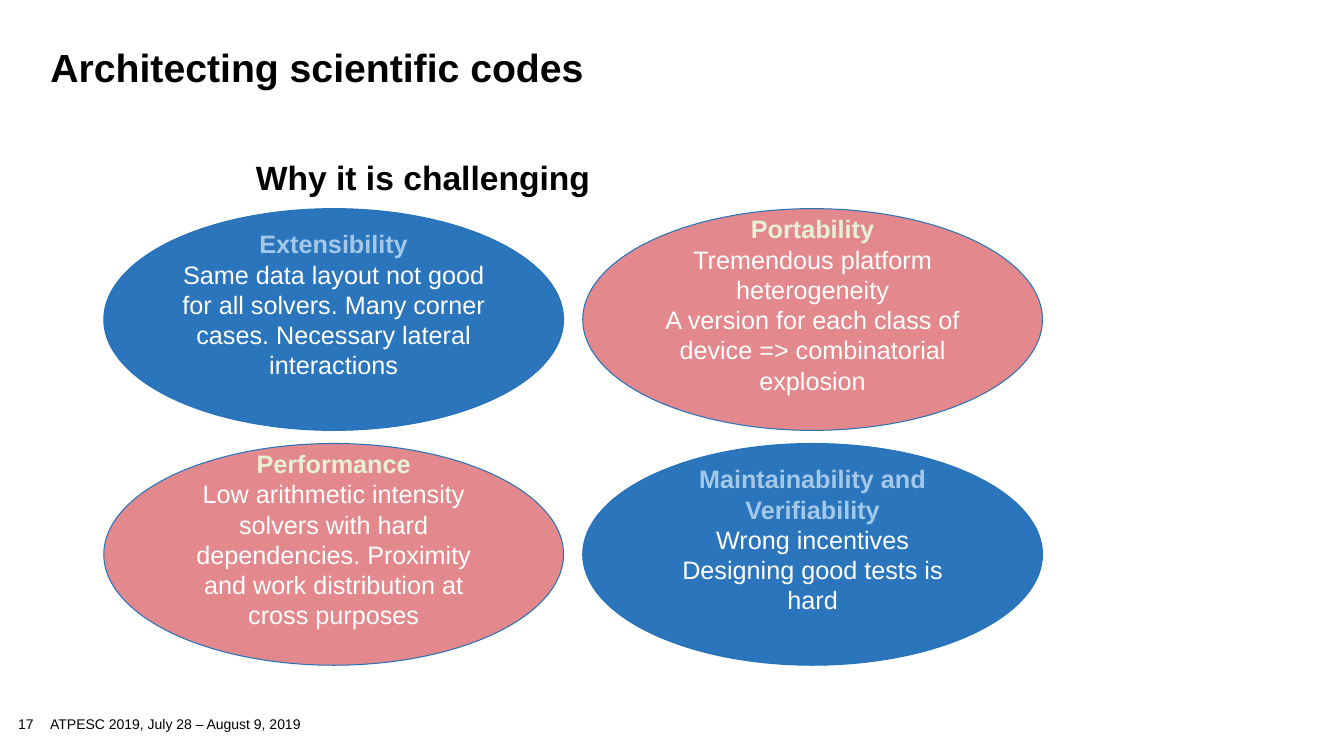
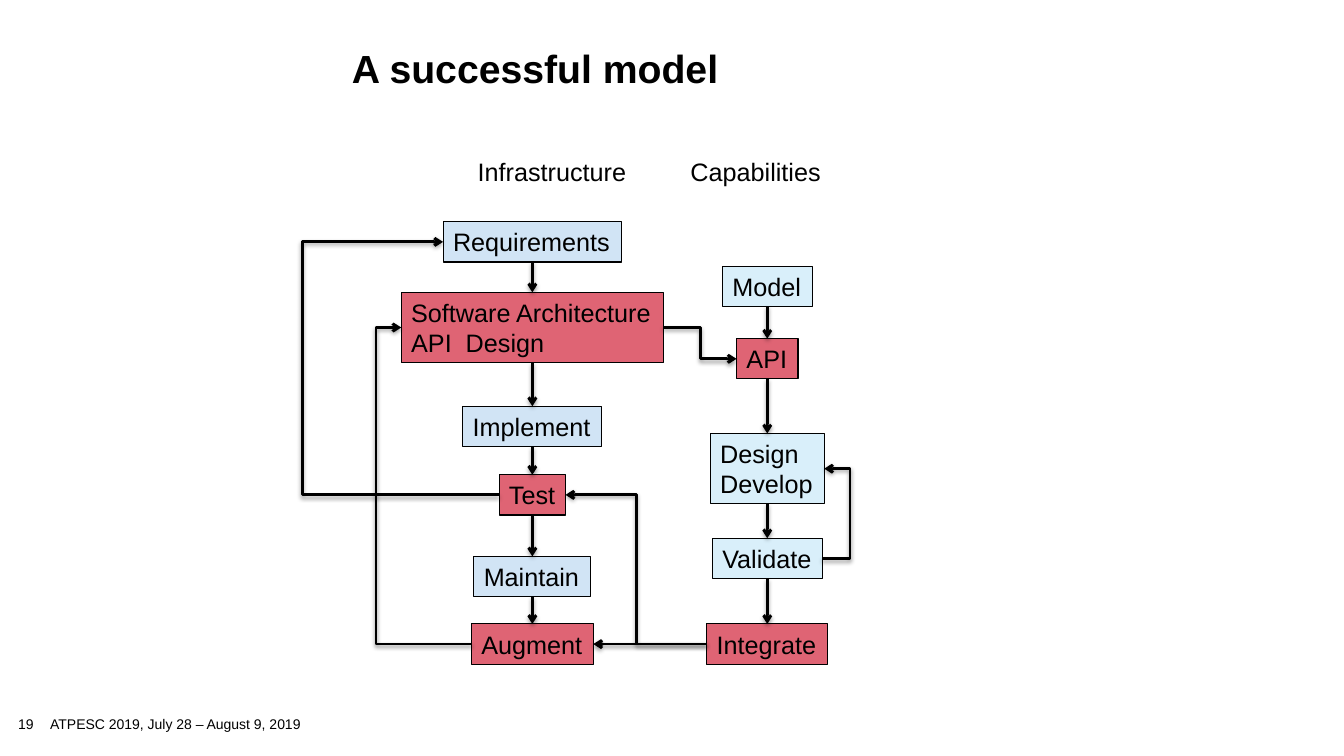
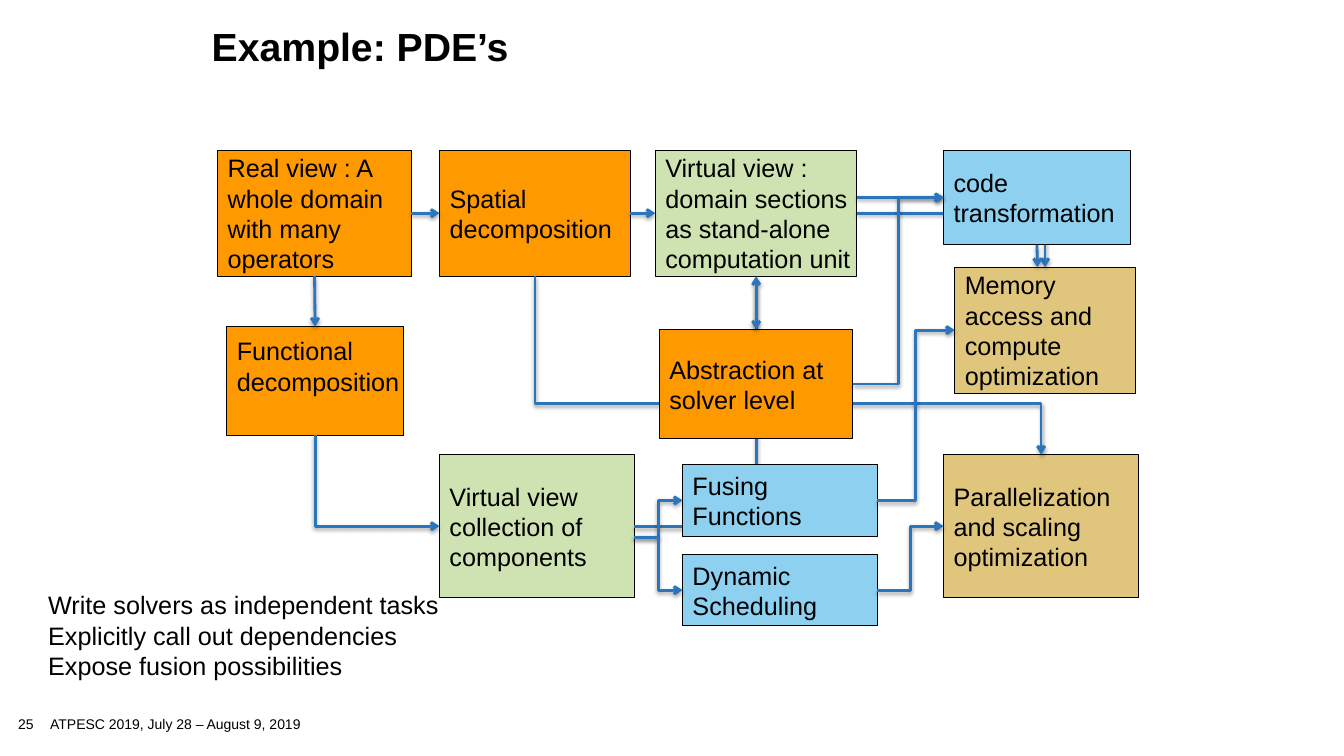
from dataclasses import dataclass

from lxml.etree import SubElement
from pptx import Presentation
from pptx.dml.color import RGBColor
from pptx.enum.shapes import MSO_CONNECTOR, MSO_SHAPE
from pptx.enum.text import MSO_ANCHOR, PP_ALIGN
from pptx.oxml.ns import qn
from pptx.util import Inches, Pt

TOP, LEFT, BOTTOM, RIGHT = range(4)
LINE = 0.3  # height of one line of body text, in grid cells


@dataclass(frozen=True)
class Theme:
    font: str = "Arial"
    title: int = 28
    head: int = 24
    body: int = 18
    small: int = 10
    black: str = "000000"
    white: str = "FFFFFF"
    blue: str = "2A75BB"
    edge: str = "2673BA"
    rose: str = "E3888C"
    sky: str = "A3C8EA"
    lime: str = "E7F1D8"
    pale: str = "D1E4F5"
    ice: str = "D9EFFA"
    red: str = "DF6474"
    orange: str = "FF9900"
    green: str = "CEE3B1"
    sand: str = "E0C67D"
    cyan: str = "8ED0EF"


T = Theme()


class Deck:
    """Slides on a grid of one-inch cells, 13.33 columns by 7.5 rows."""

    def __init__(self):
        self.prs = Presentation()
        self.prs.slide_width = Inches(13.33)
        self.prs.slide_height = Inches(7.5)
        self.slide = None

    def start(self, title, box, number):
        self.slide = self.prs.slides.add_slide(self.prs.slide_layouts[5])
        holder = self.slide.shapes.title
        holder.left, holder.top, holder.width, holder.height = map(Inches, box)
        self.style(holder.text_frame, title, T.title, bold=True, space=0.85)
        mark = self.text(str(number), (0.18, 7.12, 0.56, 0.16), T.small, space=0.9)
        mark.margin_left = mark.margin_top = mark.margin_right = mark.margin_bottom = 0
        foot = self.text("ATPESC 2019, July 28 – August 9, 2019",
                         (0.4, 7.08, 3.63, 0.2), T.small)
        foot.vertical_anchor = MSO_ANCHOR.MIDDLE

    def style(self, frame, text, size=T.body, color=T.black, bold=False,
              align=PP_ALIGN.LEFT, anchor=MSO_ANCHOR.TOP, wrap=True, space=None):
        frame.text = text
        frame.word_wrap = wrap
        frame.vertical_anchor = anchor
        for para in frame.paragraphs:
            para.alignment = align
            para.line_spacing = space
            for run in para.runs:
                font = run.font
                font.name, font.size, font.bold = T.font, Pt(size), bold
                font.color.rgb = RGBColor.from_string(color)

    def text(self, text, box, size=T.body, **looks):
        frame = self.slide.shapes.add_textbox(*map(Inches, box)).text_frame
        self.style(frame, text, size, **looks)
        return frame

    def shape(self, kind, box, fill, edge):
        item = self.slide.shapes.add_shape(kind, *map(Inches, box))
        item.shadow.inherit = False
        item.fill.solid()
        item.fill.fore_color.rgb = RGBColor.from_string(fill)
        item.line.color.rgb = RGBColor.from_string(edge)
        item.line.width = Pt(0.75)
        return item

    def box(self, text, box, fill, lift=0):
        """Rectangle with left-aligned text; lift is extra room below the text."""
        item = self.shape(MSO_SHAPE.RECTANGLE, box, fill, T.black)
        self.style(item.text_frame, text, anchor=MSO_ANCHOR.MIDDLE, wrap=False)
        item.text_frame.margin_bottom = Inches(0.05 + lift)
        return item

    def oval(self, head, text, box, fill, tint):
        item = self.shape(MSO_SHAPE.OVAL, box, fill, T.edge)
        frame = item.text_frame
        self.style(frame, head + "\n" + text, color=T.white,
                   align=PP_ALIGN.CENTER, anchor=MSO_ANCHOR.MIDDLE)
        frame.margin_bottom = Inches(0.05 + LINE)
        font = frame.paragraphs[0].runs[0].font
        font.bold = True
        font.color.rgb = RGBColor.from_string(tint)

    def spot(self, end):
        """Position of an end: a (column, row) point or a (shape, side) pair."""
        item, side = end
        if isinstance(item, (int, float)):
            return Inches(item), Inches(side)
        across, down = ((0.5, 0), (0, 0.5), (0.5, 1), (1, 0.5))[side]
        return (int(item.left + item.width * across),
                int(item.top + item.height * down))

    def arrow(self, start, end, color, kind=MSO_CONNECTOR.STRAIGHT):
        link = self.slide.shapes.add_connector(kind, *self.spot(start), *self.spot(end))
        for join, (item, side) in ((link.begin_connect, start), (link.end_connect, end)):
            if not isinstance(item, (int, float)):
                join(item, side)
        link.line.color.rgb = RGBColor.from_string(color)
        link.line.width = Pt(2)
        props = link._element.spPr
        SubElement(props.find(qn("a:ln")), qn("a:tailEnd"), type="arrow")
        glow = SubElement(SubElement(props, qn("a:effectLst")), qn("a:outerShdw"),
                          blurRad=str(Pt(3.1)), dist=str(Pt(1.6)), dir="5400000",
                          rotWithShape="0")
        tone = SubElement(glow, qn("a:srgbClr"), val=T.black)
        SubElement(tone, qn("a:alpha"), val="38000")
        return link

    def bend(self, start, end, color, mid=None, down=False, corner=False):
        """Elbow arrow; mid places the middle leg, down starts it vertically,
        corner leaves a single turn."""
        link = self.arrow(start, end, color, MSO_CONNECTOR.ELBOW)
        props = link._element.spPr
        geom = props.find(qn("a:prstGeom"))
        (x1, y1), (x2, y2) = self.spot(start), self.spot(end)
        if corner:
            geom.set("prst", "bentConnector2")
        if mid is not None:
            first, last = (y1, y2) if down else (x1, x2)
            share = round((Inches(mid) - first) / (last - first) * 100000)
            SubElement(geom.find(qn("a:avLst")), qn("a:gd"),
                       name="adj1", fmla=f"val {share}")
        if down:
            # Swap width and height about the centre, then turn back.
            cx, cy, dx, dy = (x1 + x2) // 2, (y1 + y2) // 2, x2 - x1, y2 - y1
            link.begin_x, link.begin_y = cx + dy // 2, cy - dx // 2
            link.end_x, link.end_y = cx - dy // 2, cy + dx // 2
            props.find(qn("a:xfrm")).set("rot", "16200000")


def codes(deck):
    deck.start("Architecting scientific codes", (0.4, 0.45, 12.44, 1), 17)
    ovals = [
        ("Extensibility", "Same data layout not good for all solvers. Many corner "
         "cases. Necessary lateral interactions"),
        ("Portability", "Tremendous platform heterogeneity\n"
         "A version for each class of device => combinatorial explosion"),
        ("Performance", "Low arithmetic intensity solvers with hard dependencies. "
         "Proximity and work distribution at cross purposes"),
        ("Maintainability and Verifiability",
         "Wrong incentives\nDesigning good tests is hard"),
    ]
    for i, (head, text) in enumerate(ovals):
        row, col = divmod(i, 2)
        fill, tint = (T.blue, T.sky) if row == col else (T.rose, T.lime)
        place = (1.03 + 4.75 * col, 2.07 + 2.33 * row, 4.56, 2.2)
        deck.oval(head, text, place, fill, tint)
    deck.text("Why it is challenging", (2.44, 1.55, 7.37, 0.52), T.head,
              bold=True, space=0.9)


def model(deck):
    deck.start("A successful model", (3.39, 0.46, 7.04, 0.56), 19)
    deck.text("Infrastructure", (4.64, 1.5, 1.8, 0.4))
    deck.text("Capabilities", (6.75, 1.5, 1.6, 0.4))

    def chain(center, steps):
        """Column of boxes on one centre line, each joined to the next."""
        items = []
        for text, top, width, fill in steps:
            height = 0.1 + LINE * (1 + text.count("\n"))
            items.append(deck.box(text, (center - width / 2, top, width, height), fill))
        for a, b in zip(items, items[1:]):
            deck.arrow((a, BOTTOM), (b, TOP), T.black)
        return items

    needs, design, _, test, _, augment = chain(5.28, [
        ("Requirements", 2.2, 1.77, T.pale),
        ("Software Architecture\nAPI  Design", 2.9, 2.6, T.red),
        ("Implement", 4.03, 1.38, T.pale),
        ("Test", 4.71, 0.66, T.red),
        ("Maintain", 5.52, 1.16, T.pale),
        ("Augment", 6.19, 1.21, T.red),
    ])
    _, api, develop, check, merge = chain(7.61, [
        ("Model", 2.64, 0.89, T.ice),
        ("API", 3.36, 0.61, T.red),
        ("Design\nDevelop", 4.3, 1.13, T.ice),
        ("Validate", 5.34, 1.09, T.ice),
        ("Integrate", 6.19, 1.2, T.red),
    ])
    deck.arrow((merge, LEFT), (augment, RIGHT), T.black)
    for start, end, mid in [
        ((augment, LEFT), (design, LEFT), 3.73),
        ((check, RIGHT), (develop, RIGHT), 8.43),
        ((design, RIGHT), (api, LEFT), 6.95),
        ((test, LEFT), (needs, LEFT), 3),
        ((merge, LEFT), (test, RIGHT), 6.31),
    ]:
        deck.bend(start, end, T.black, mid)


def example(deck):
    deck.start("Example: PDE’s", (2, 0.24, 9, 0.56), 25)
    real = deck.box("Real view : A\nwhole domain\nwith many\noperators",
                    (2.16, 1.49, 1.92, 1.25), T.orange)
    parts = deck.box("Functional\ndecomposition", (2.25, 3.24, 1.75, 1.08),
                     T.orange, lift=LINE)
    view = deck.box("Virtual view :\ndomain sections\nas stand-alone\ncomputation unit",
                    (6.5, 1.49, 2, 1.25), T.green)
    group = deck.box("Virtual view\ncollection of\ncomponents",
                     (4.36, 4.51, 1.93, 1.42), T.green)
    memory = deck.box("Memory\naccess and\ncompute\noptimization",
                      (9.47, 2.65, 1.79, 1.25), T.sand)
    scale = deck.box("Parallelization\nand scaling\noptimization",
                     (9.36, 4.51, 1.93, 1.42), T.sand)
    space = deck.box("Spatial\ndecomposition", (4.36, 1.49, 1.89, 1.25), T.orange)

    # These arrows run behind the boxes that follow.
    deck.arrow((real, RIGHT), (space, LEFT), T.blue)
    deck.arrow((space, RIGHT), (view, LEFT), T.blue)
    deck.arrow((real, BOTTOM), (parts, TOP), T.blue)
    deck.bend((parts, BOTTOM), (group, LEFT), T.blue, down=True, corner=True)
    deck.bend((group, RIGHT), (view, BOTTOM), T.blue, corner=True)
    deck.bend((view, RIGHT), (memory, TOP), T.blue, corner=True)
    deck.bend((space, BOTTOM), (scale, TOP), T.blue, mid=4, down=True)

    solver = deck.box("Abstraction at\nsolver level", (6.54, 3.27, 1.92, 1.08), T.orange)
    code = deck.box("code\ntransformation", (9.36, 1.49, 1.85, 0.94), T.cyan)
    fuse = deck.box("Fusing\nFunctions", (6.77, 4.61, 1.93, 0.71), T.cyan)
    plan = deck.box("Dynamic\nScheduling", (6.77, 5.5, 1.93, 0.71), T.cyan)

    deck.arrow((7.5, 2.85), (solver, TOP), T.blue)
    deck.arrow((code, BOTTOM), (10.29, 2.65), T.blue)
    deck.arrow((8.5, 1.96), (code, LEFT), T.blue)
    for start, end, mid in [
        ((solver, RIGHT), (code, LEFT), 8.91),
        ((6.29, 5.33), (fuse, LEFT), 6.53),
        ((6.29, 5.33), (plan, LEFT), 6.53),
        ((fuse, RIGHT), (memory, LEFT), 9.08),
        ((plan, RIGHT), (scale, LEFT), 9.03),
    ]:
        deck.bend(start, end, T.blue, mid)
    deck.text("Write solvers as independent tasks\nExplicitly call out dependencies\n"
              "Expose fusion possibilities", (0.38, 5.8, 4.2, 1.01))


def main():
    deck = Deck()
    for build in (codes, model, example):
        build(deck)
    deck.prs.save("out.pptx")


if __name__ == "__main__":
    main()
